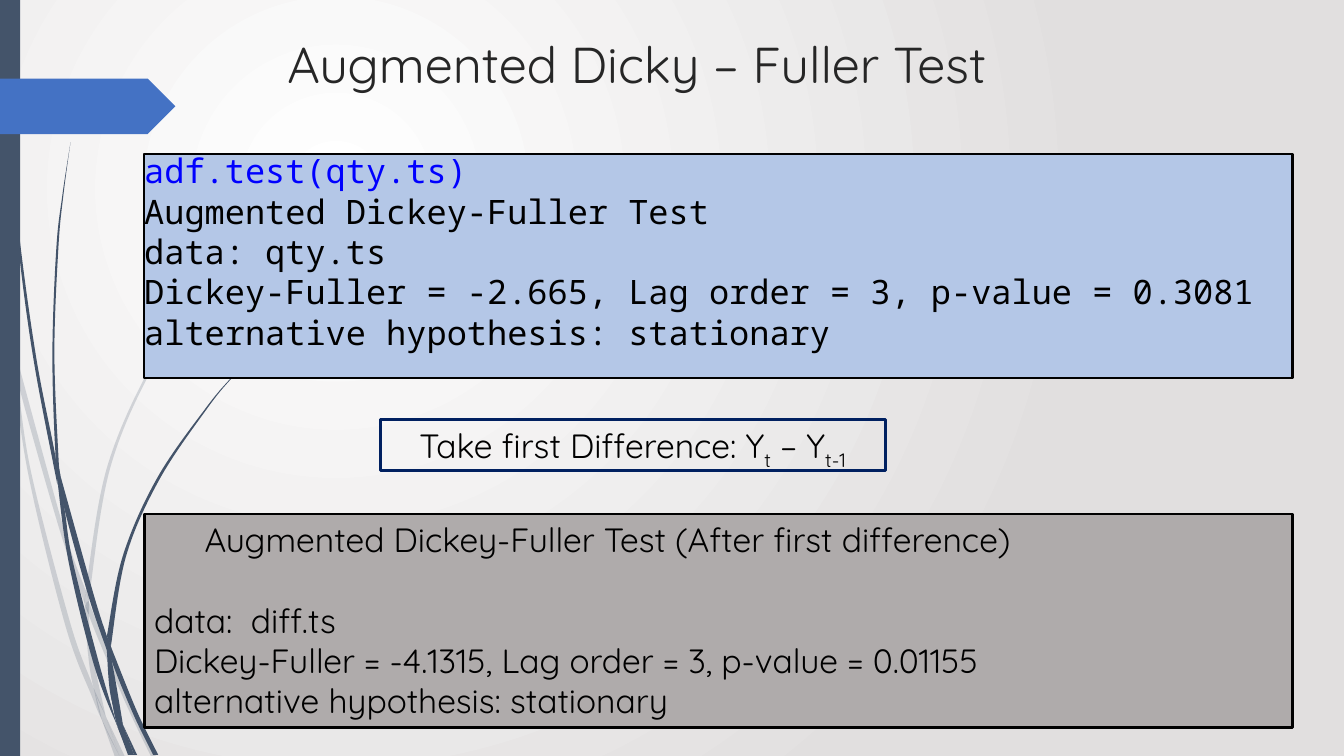
from lxml import etree
from pptx import Presentation
from pptx.dml.color import RGBColor
from pptx.enum.shapes import MSO_SHAPE
from pptx.enum.text import MSO_ANCHOR, MSO_AUTO_SIZE, PP_ALIGN
from pptx.oxml.ns import qn
from pptx.util import Inches, Pt

RECTANGLE, ARROW = MSO_SHAPE.RECTANGLE, MSO_SHAPE.PENTAGON
TOP, MIDDLE = MSO_ANCHOR.TOP, MSO_ANCHOR.MIDDLE
LEFT, CENTER = PP_ALIGN.LEFT, PP_ALIGN.CENTER
NO_AUTOFIT = MSO_AUTO_SIZE.NONE

WIDTH, HEIGHT = 13.33, 7.5
PANEL_LEFT, PANEL_WIDTH = 1.43, 11.39
LINE_PITCH = 28.8
SANS, MONO = "Quicksand", "Noto Sans Mono"
SLATE, BLUE, BLACK = "44546A", "4472C4", "000000"

# Each blade of grass is a pair of edges with common ends or a flat cut, in inches.
PALE_BLADES = [
    ([(0, 2.99), (.1, 3.44), (.11, 3.5)], [(0, 2.82), (.09, 3.22), (.11, 3.5)]),
    ([(.14, 3.45), (.17, 3.76), (.58, 5.22), (.84, 5.99)],
     [(.14, 3.45), (.62, 5.2), (.85, 5.86)]),
    ([(.88, 5.96), (.88, 6.1), (1.23, 6.94), (1.5, 7.51)],
     [(.88, 5.96), (.92, 6.07), (1.27, 6.92), (1.55, 7.51)]),
    ([(1.05, 7.11), (1.19, 7.51)], [(1.05, 7.11), (1.24, 7.51)]),
    ([(.11, 3.5), (.28, 4.7), (.65, 6.21), (.92, 6.93), (1.01, 7.14)],
     [(.11, 3.5), (.17, 3.76), (.31, 4.69), (.7, 6.19), (.93, 6.83), (1.01, 7.14)]),
    ([(.84, 5.99), (.87, 6.46), (.93, 6.83), (1.05, 7.11)],
     [(.84, 5.99), (.88, 6.1), (.91, 6.46), (1.05, 7.11)]),
    ([(3.12, 1.53), (2.68, 1.97), (2.28, 2.44), (1.58, 3.48), (1.07, 4.61), (.85, 5.86)],
     [(3.12, 1.54), (2.68, 1.98), (2.29, 2.45), (1.6, 3.49), (1.1, 4.62), (.88, 5.96)]),
    ([(1.01, 7.14), (1.14, 7.51)], [(1.01, 7.14), (1.19, 7.51)]),
    ([(.85, 5.86), (.84, 5.99), (.88, 6.1)], [(.85, 5.86), (.88, 5.96), (.88, 6.1)]),
    ([(.93, 6.83), (1.01, 7.14), (1.19, 7.51)], [(.93, 6.83), (1.05, 7.11), (1.19, 7.51)]),
]
DARK_BLADES = [
    ([(.03, 0), (.07, 1.1), (.17, 2.33), (.33, 3.55), (.57, 4.81)],
     [(.04, 0), (.08, 1.09), (.19, 2.32), (.36, 3.55), (.55, 4.53), (.57, 4.81)]),
    ([(.6, 4.72), (.64, 5.05), (.88, 5.92), (1.06, 6.45)],
     [(.6, 4.72), (.93, 5.9), (1.06, 6.31)]),
    ([(1.1, 6.41), (1.11, 6.56), (1.32, 7.08), (1.52, 7.49)],
     [(1.1, 6.41), (1.13, 6.49), (1.36, 7.06), (1.57, 7.49)]),
    ([(.57, 4.77), (.68, 5.57), (.93, 6.59), (1.17, 7.22)],
     [(.57, 4.77), (.64, 5.05), (.72, 5.56), (.98, 6.57), (1.17, 7.22)]),
    ([(.7, 1.41), (.62, 1.93), (.56, 2.45), (.52, 3.49), (.55, 4.49), (.6, 4.72)],
     [(.7, 1.41), (.63, 1.93), (.58, 2.45), (.54, 3.49), (.58, 4.53), (.6, 4.72)]),
    ([(1.22, 7.19), (1.33, 7.49)], [(1.22, 7.19), (1.36, 7.49)]),
    ([(.55, 4.49), (.57, 4.77), (.64, 5.05)], [(.55, 4.49), (.6, 4.72), (.64, 5.05)]),
    ([(2.6, 3.44), (2.31, 3.73), (2.04, 4.05), (1.56, 4.74), (1.22, 5.51), (1.06, 6.31)],
     [(2.61, 3.44), (2.31, 3.74), (2.05, 4.06), (1.58, 4.76), (1.25, 5.52), (1.1, 6.41)]),
    ([(1.17, 7.22), (1.27, 7.49)], [(1.17, 7.22), (1.31, 7.49)]),
    ([(1.06, 6.45), (1.1, 6.91), (1.22, 7.19)], [(1.06, 6.45), (1.11, 6.56), (1.22, 7.19)]),
    ([(1.06, 6.31), (1.06, 6.45), (1.11, 6.56)], [(1.06, 6.31), (1.1, 6.41), (1.11, 6.56)]),
    ([(1.1, 6.91), (1.17, 7.22), (1.3, 7.49)], [(1.1, 6.91), (1.22, 7.19), (1.33, 7.49)]),
]

ADF_OUTPUT = """adf.test(qty.ts)
Augmented Dickey-Fuller Test
data: qty.ts
Dickey-Fuller = -2.665, Lag order = 3, p-value = 0.3081
alternative hypothesis: stationary"""
DIFFERENCED_OUTPUT = """Augmented Dickey-Fuller Test (After first difference)
data:  diff.ts
Dickey-Fuller = -4.1315, Lag order = 3, p-value = 0.01155
alternative hypothesis: stationary"""
DIFFERENCE_RULE = [("Take first Difference: Y", "0"), ("t", "-25000"),
                   (" – Y", "0"), ("t-1", "-25000")]


def rgb(color):
    return RGBColor.from_string(color)


def paint(shape, fill=None, line=None, weight=1):
    shape.fill.background()
    shape.line.fill.background()
    if fill:
        shape.fill.solid()
        shape.fill.fore_color.rgb = rgb(fill)
    if line:
        shape.line.color.rgb = rgb(line)
        shape.line.width = Pt(weight)


def add_block(slide, kind, box, **colors):
    block = slide.shapes.add_shape(kind, *map(Inches, box))
    block.shadow.inherit = False
    paint(block, **colors)
    return block


def move(placeholder, *box):
    """Place a placeholder and bring it in front of the grass."""
    placeholder.left, placeholder.top, placeholder.width, placeholder.height = map(Inches, box)
    placeholder.element.getparent().append(placeholder.element)


def set_frame(shape, anchor, side=0.1, top=0.05, bottom=0.05):
    frame = shape.text_frame
    frame.word_wrap = True
    frame.auto_size = NO_AUTOFIT
    frame.vertical_anchor = anchor
    frame.margin_left = frame.margin_right = Inches(side)
    frame.margin_top, frame.margin_bottom = Inches(top), Inches(bottom)
    return frame


def set_paragraph(paragraph, font, size=24, color=BLACK, align=LEFT):
    props = paragraph._p.get_or_add_pPr()
    props.set("marL", "0")
    props.set("indent", "0")
    etree.SubElement(props, qn("a:buNone"))
    paragraph.alignment = align
    paragraph.space_before = Pt(0)
    paragraph.line_spacing = Pt(size * LINE_PITCH / 24)
    paragraph.font.name, paragraph.font.size = font, Pt(size)
    paragraph.font.color.rgb = rgb(color)


def write(frame, text, font, **style):
    frame.text = text
    for paragraph in frame.paragraphs:
        set_paragraph(paragraph, font, **style)


def bezier(points):
    """Return control, control and end point for each span of a smooth curve."""
    padded = [points[0], *points, points[-1]]
    curve = []
    for a, b, c, d in zip(padded, padded[1:], padded[2:], padded[3:]):
        curve += [tuple(q + (r - p) / 6 for p, q, r in zip(a, b, c)),
                  tuple(r - (s - q) / 6 for q, r, s in zip(b, c, d)), c]
    return curve


def add_blade(slide, near, far, opacity):
    cut = [near[-1], far[-1], far[-1]] if near[-1] != far[-1] else []
    outline = [near[0]] + bezier(near) + cut + bezier(far[::-1])
    start, *rest = [(x * 1000, y * 1000) for x, y in outline]
    builder = slide.shapes.build_freeform(*start, scale=Inches(1) / 1000)
    builder.add_line_segments(rest, close=True)
    blade = builder.convert_to_shape()
    blade.shadow.inherit = False
    paint(blade, fill=SLATE)
    tint = blade.element.spPr.find(".//" + qn("a:srgbClr"))
    etree.SubElement(tint, qn("a:alpha"), val=str(opacity * 1000))
    contour = blade.element.spPr.find(".//" + qn("a:path"))
    segments = contour.findall(qn("a:lnTo"))
    for triple in zip(segments[::3], segments[1::3], segments[2::3]):
        curve = etree.Element(qn("a:cubicBezTo"))
        triple[0].addprevious(curve)
        for segment in triple:
            curve.append(segment[0])
            contour.remove(segment)


def set_background(slide):
    fill = slide.background.fill
    fill.gradient()
    for stop, color in zip(fill.gradient_stops, ("FFFFFF", "E1DFDF")):
        stop.color.rgb = rgb(color)
    gradient = slide.element.find(".//" + qn("a:gradFill"))
    circle = etree.Element(qn("a:path"), path="circle")
    etree.SubElement(circle, qn("a:fillToRect"), l="50000", t="50000", r="100000", b="100000")
    gradient.replace(gradient.find(qn("a:lin")), circle)


def main():
    deck = Presentation()
    deck.slide_width, deck.slide_height = Inches(WIDTH), Inches(HEIGHT)
    slide = deck.slides.add_slide(deck.slide_layouts[1])
    heading, adf_panel = slide.placeholders
    set_background(slide)
    for blades, opacity in ((PALE_BLADES, 20), (DARK_BLADES, 100)):
        for near, far in blades:
            add_blade(slide, near, far, opacity)
    add_block(slide, RECTANGLE, (0, 0, 0.2, HEIGHT), fill=SLATE)
    add_block(slide, ARROW, (0, 0.78, 1.74, 0.55), fill=BLUE)

    move(heading, 2.75, 0.28, 9.75, 1.4)
    write(set_frame(heading, TOP), "Augmented Dicky – Fuller Test", SANS, size=36, color="262626")

    move(adf_panel, PANEL_LEFT, 1.53, PANEL_WIDTH, 2.22)
    paint(adf_panel, "B4C7E7", BLACK, 1.75)
    adf_frame = set_frame(adf_panel, MIDDLE, side=0, top=0, bottom=0.3)
    write(adf_frame, ADF_OUTPUT, MONO)
    adf_frame.paragraphs[0].font.color.rgb = rgb("0000FF")

    differenced_panel = add_block(slide, RECTANGLE, (PANEL_LEFT, 5.1, PANEL_WIDTH, 2.12),
                                  fill="AFABAB", line=BLACK, weight=2)
    differenced_frame = set_frame(differenced_panel, TOP)
    write(differenced_frame, DIFFERENCED_OUTPUT, SANS)
    caption, data_line = differenced_frame.paragraphs[:2]
    caption._p.get_or_add_pPr().set("indent", str(Inches(0.5)))
    data_line.space_before = Pt(LINE_PITCH)

    rule_box = add_block(slide, RECTANGLE, (3.77, 4.16, 5.01, 0.51), line="002060", weight=2.25)
    rule = set_frame(rule_box, MIDDLE, top=0.12, bottom=0).paragraphs[0]
    set_paragraph(rule, SANS, align=CENTER)
    for text, baseline in DIFFERENCE_RULE:
        run = rule.add_run()
        run.text = text
        run._r.get_or_add_rPr().set("baseline", baseline)

    deck.save("out.pptx")


if __name__ == "__main__":
    main()
